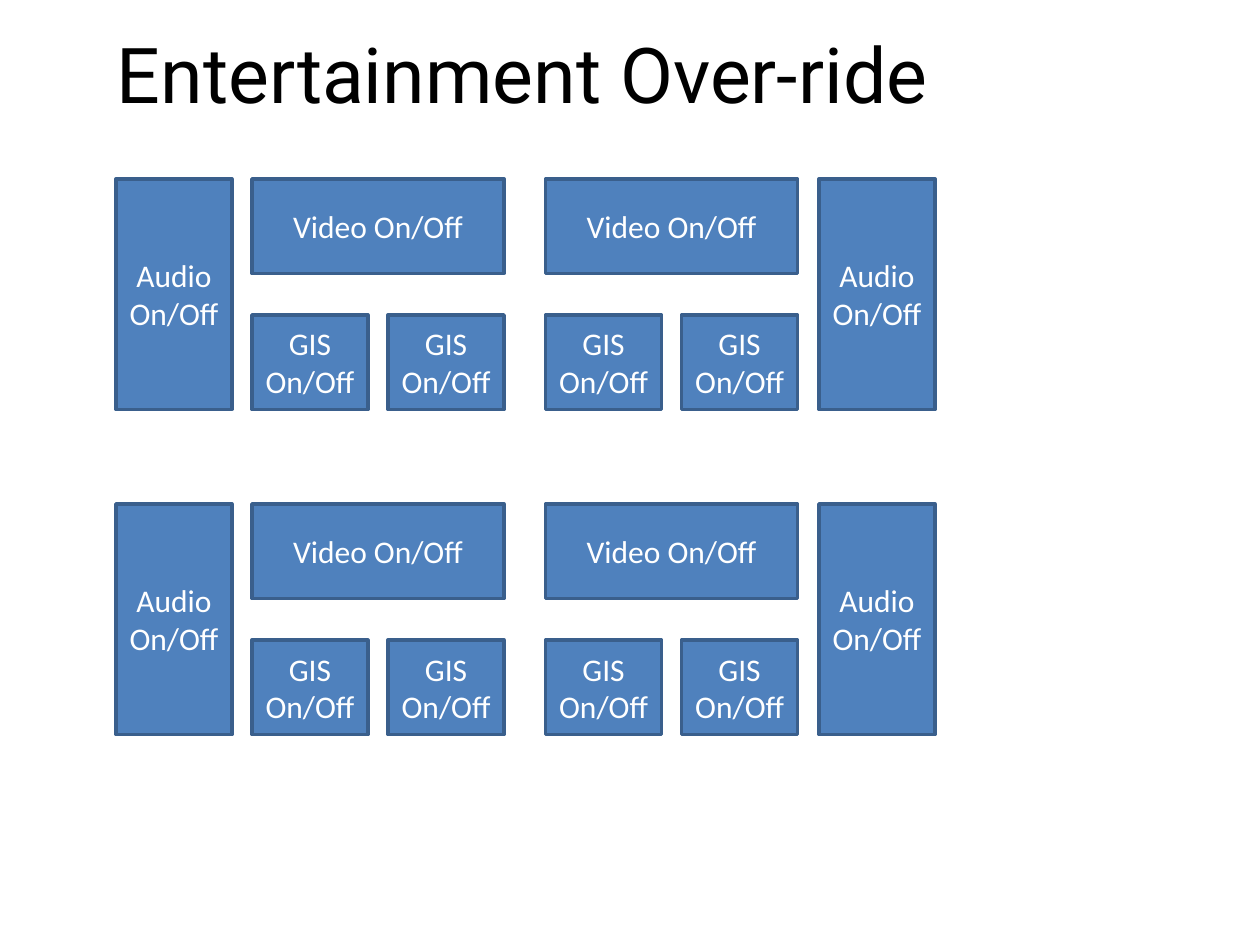
from dataclasses import dataclass

from pptx import Presentation
from pptx import util as u
from pptx.dml import color
from pptx.enum import shapes, text


@dataclass(frozen=True)
class Theme:
    fill: color.RGBColor = color.RGBColor(0x4F, 0x81, 0xBD)
    border: color.RGBColor = color.RGBColor(0x3A, 0x5F, 0x8C)
    label: color.RGBColor = color.RGBColor(0xFF, 0xFF, 0xFF)
    title: color.RGBColor = color.RGBColor(0, 0, 0)
    label_font: str = "Calibri"
    title_font: str = "Roboto"
    label_size: int = 18
    title_size: int = 44
    border_width: int = 2


@dataclass(frozen=True)
class Switch:
    """A button; left and top are inches from the slide edge and the bank top."""
    lines: tuple[str, ...]
    left: float
    top: float
    width: float
    height: float


THEME = Theme()

# Button sizes and positions in inches
NARROW, WIDE = 0.92, 2.0
SHORT, TALL = 0.75, 1.83
GIS_DROP, GIS_STEP = 1.08, 1.08
BANK_TOPS = (1.42, 4.0)
AUDIO_LEFTS = (0.92, 6.5)
VIDEO_LEFTS = (2.0, 4.33)

# One bank: audio on the outside, each video above its two GIS buttons
BANK = [Switch(("Audio", "On/Off"), left, 0, NARROW, TALL) for left in AUDIO_LEFTS]
for video_left in VIDEO_LEFTS:
    BANK.append(Switch(("Video On/Off",), video_left, 0, WIDE, SHORT))
    BANK += [
        Switch(("GIS On/Off",), video_left + column * GIS_STEP, GIS_DROP, NARROW, SHORT)
        for column in range(2)
    ]


def add_run(paragraph, words: str, font: str, size: int, rgb: color.RGBColor) -> None:
    run = paragraph.add_run()
    run.text = words
    run.font.name = font
    run.font.size = u.Pt(size)
    run.font.color.rgb = rgb


def add_title(slide, words: str) -> None:
    box = slide.shapes.add_textbox(
        u.Inches(0.83), u.Inches(0.16), u.Inches(6.67), u.Inches(0.84))
    frame = box.text_frame
    frame.word_wrap = True
    frame.auto_size = text.MSO_AUTO_SIZE.SHAPE_TO_FIT_TEXT
    add_run(frame.paragraphs[0], words, THEME.title_font, THEME.title_size, THEME.title)


def add_switch(slide, switch: Switch, bank_top: float) -> None:
    shape = slide.shapes.add_shape(
        shapes.MSO_SHAPE.RECTANGLE,
        u.Inches(switch.left), u.Inches(bank_top + switch.top),
        u.Inches(switch.width), u.Inches(switch.height))
    shape.shadow.inherit = False
    shape.fill.solid()
    shape.fill.fore_color.rgb = THEME.fill
    shape.line.color.rgb = THEME.border
    shape.line.width = u.Pt(THEME.border_width)

    frame = shape.text_frame
    frame.word_wrap = True
    frame.vertical_anchor = text.MSO_ANCHOR.MIDDLE
    for index, line in enumerate(switch.lines):
        paragraph = frame.add_paragraph() if index else frame.paragraphs[0]
        paragraph.alignment = text.PP_ALIGN.CENTER
        add_run(paragraph, line, THEME.label_font, THEME.label_size, THEME.label)


def main() -> None:
    presentation = Presentation()
    presentation.slide_width = u.Inches(10)
    presentation.slide_height = u.Inches(7.5)
    slide = presentation.slides.add_slide(presentation.slide_layouts[6])

    add_title(slide, "Entertainment Over-ride")

    # Two identical banks of switches
    for bank_top in BANK_TOPS:
        for switch in BANK:
            add_switch(slide, switch, bank_top)

    presentation.save("out.pptx")


if __name__ == "__main__":
    main()
